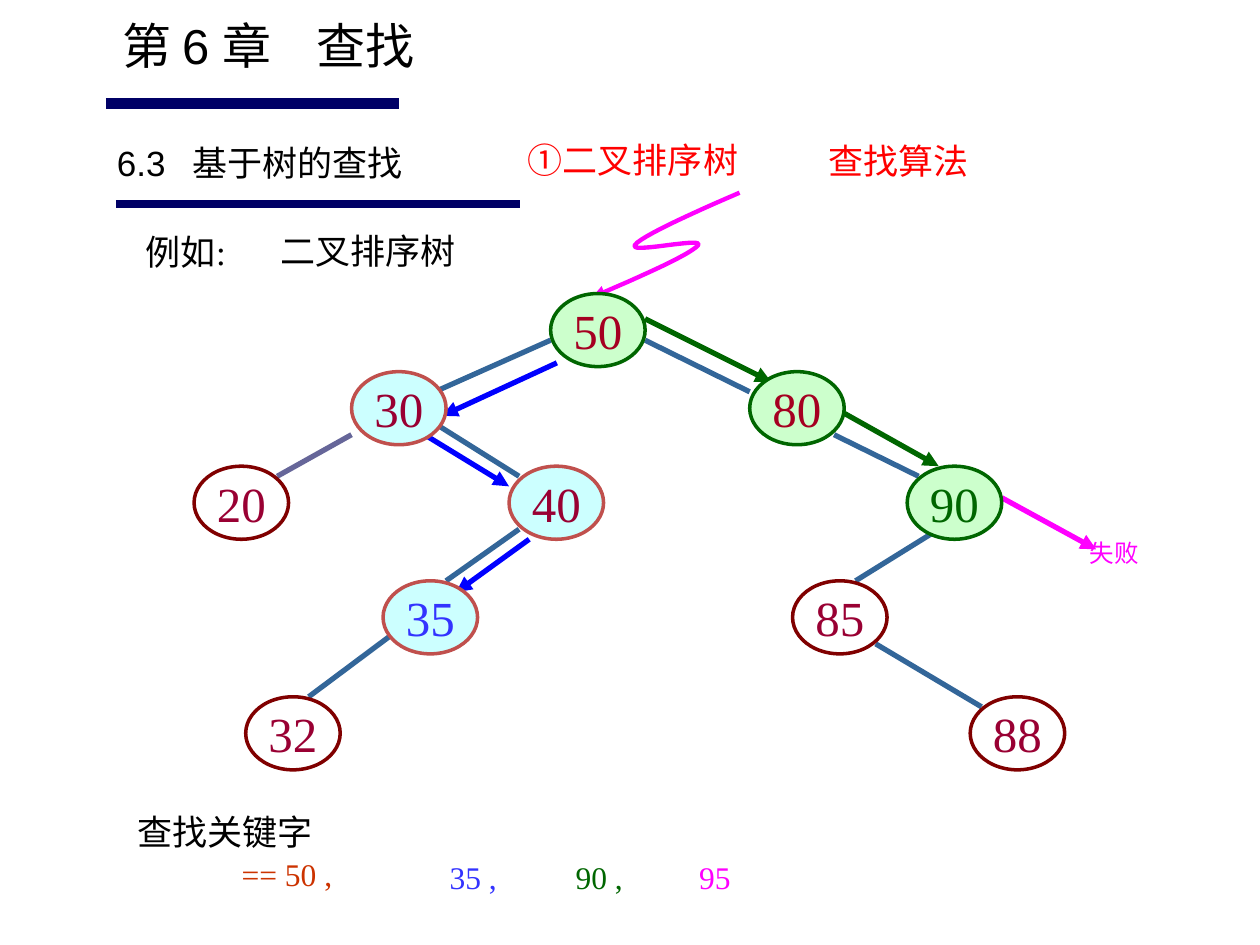
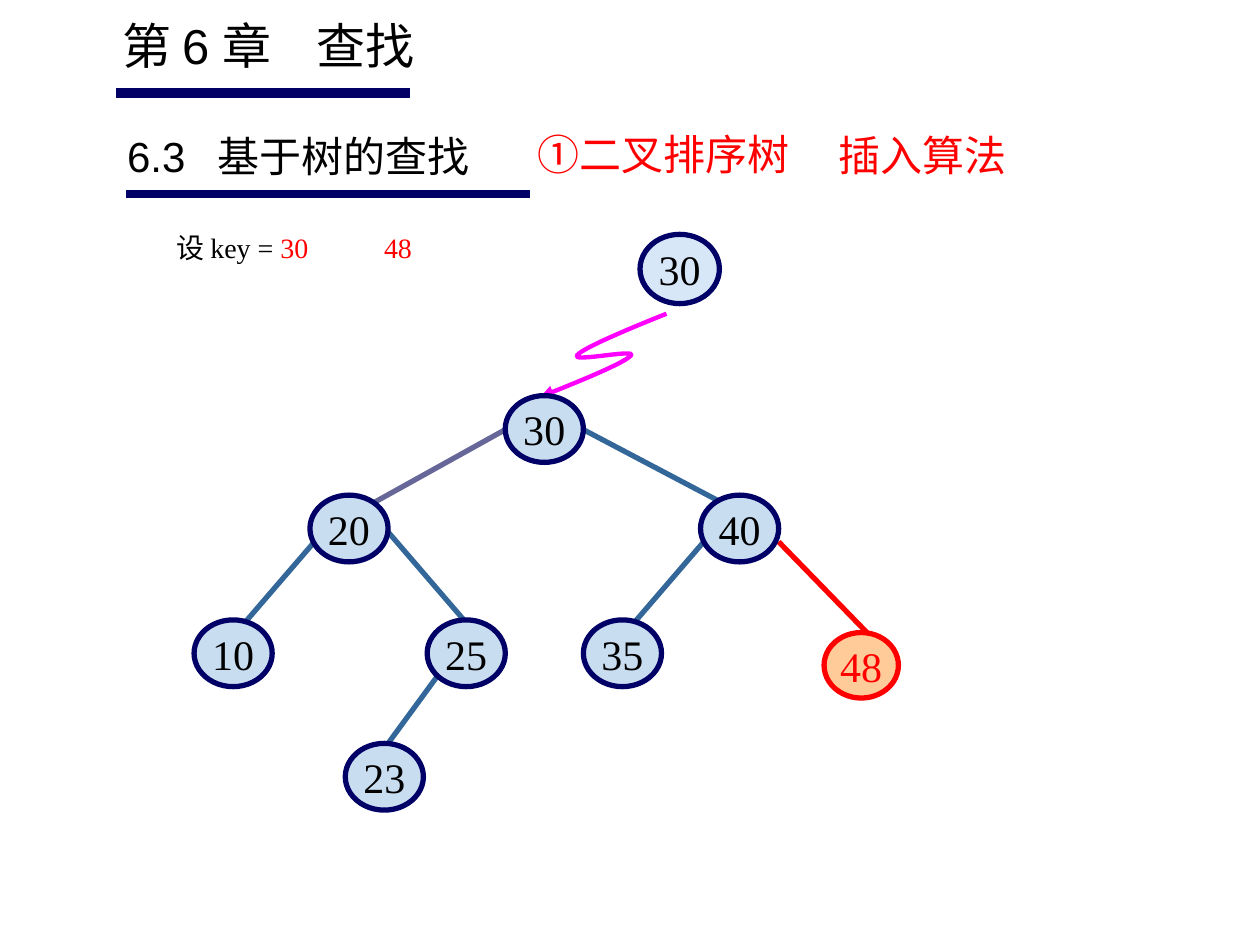
from lxml.etree import SubElement
from pptx import Presentation
from pptx.dml.color import RGBColor
from pptx.enum.shapes import MSO_CONNECTOR, MSO_SHAPE
from pptx.enum.text import MSO_ANCHOR, MSO_AUTO_SIZE, PP_ALIGN
from pptx.oxml.ns import qn
from pptx.util import Pt

PX = 9144  # EMU per px: the slide is 1000 by 750 px
SANS, SERIF = "Arial", "Times New Roman"

BLACK = RGBColor(0x00, 0x00, 0x00)
NAVY = RGBColor(0x00, 0x00, 0x66)
RED = RGBColor(0xFF, 0x00, 0x00)
PINK = RGBColor(0xFF, 0x00, 0xFF)
BLUE = RGBColor(0x00, 0x00, 0xFF)
GREEN = RGBColor(0x00, 0x66, 0x00)
STEEL = RGBColor(0x33, 0x66, 0x99)
LILAC = RGBColor(0x66, 0x66, 0x99)
MAROON = RGBColor(0x80, 0x00, 0x00)
WINE = RGBColor(0x99, 0x00, 0x33)
RUBY = RGBColor(0xA5, 0x00, 0x21)
BRICK = RGBColor(0xC0, 0x50, 0x4D)
RUST = RGBColor(0xCC, 0x33, 0x00)
INDIGO = RGBColor(0x33, 0x33, 0xFF)
AQUA = RGBColor(0xCC, 0xFF, 0xFF)
MINT = RGBColor(0xCC, 0xFF, 0xCC)
SKY = RGBColor(0xC9, 0xDD, 0xF1)
PALE = RGBColor(0xD8, 0xE7, 0xF8)
PEACH = RGBColor(0xFF, 0xCC, 0x99)

# Cubic pieces of the curly pointer, as shares of its box
CURL = [
    ((1, 0), (0.67, 0.2), (0.33, 0.42), (0.29, 0.5)),
    ((0.29, 0.5), (0.24, 0.59), (0.76, 0.42), (0.72, 0.5)),
    ((0.72, 0.5), (0.67, 0.59), (0.33, 0.8), (0, 1)),
]
STEPS = 12


def emu(*sizes):
    return [round(size * PX) for size in sizes]


def style(item, size, color, font):
    item.font.size, item.font.name = Pt(size), font
    item.font.color.rgb = color


def tab_stop(para, pos):
    tabs = SubElement(para._p.get_or_add_pPr(), qn("a:tabLst"))
    SubElement(tabs, qn("a:tab"), pos=str(pos * PX), algn="l")


def label(slide, box, text, size, color, font=SERIF, tab=None):
    shape = slide.shapes.add_textbox(*emu(*box))
    shape.text_frame.word_wrap = True
    para = shape.text_frame.paragraphs[0]
    para.text = text
    if tab:
        tab_stop(para, tab)
    style(para, size, color, font)
    return para


def arrow(shape):
    SubElement(shape.element.spPr.find(qn("a:ln")), qn("a:tailEnd"), type="triangle")


def line(slide, ends, color, width=3, head=False):
    link = slide.shapes.add_connector(MSO_CONNECTOR.STRAIGHT, *emu(*ends))
    link.line.color.rgb, link.line.width = color, Pt(width)
    if head:
        arrow(link)
    SubElement(link.element.spPr, qn("a:effectLst"))


def curl(slide, box):
    x, y, w, h = box

    def point(piece, t):
        parts = ((1 - t) ** 3, 3 * t * (1 - t) ** 2, 3 * t * t * (1 - t), t ** 3)
        across, down = (sum(p * c for p, c in zip(parts, axis)) for axis in zip(*piece))
        return emu(x + w * across, y + h * down)

    dots = [point(piece, n / STEPS) for piece in CURL for n in range(1, STEPS + 1)]
    form = slide.shapes.build_freeform(*emu(x + w, y))
    form.add_line_segments(dots, close=False)
    shape = form.convert_to_shape()
    shape.shadow.inherit = False
    shape.fill.background()
    shape.line.color.rgb, shape.line.width = PINK, Pt(2.5)
    arrow(shape)


def node(slide, box, key, size, look, width):
    fill, edge, ink = look
    oval = slide.shapes.add_shape(MSO_SHAPE.OVAL, *emu(*box))
    oval.shadow.inherit = False
    if fill is None:
        oval.fill.background()
    else:
        oval.fill.solid()
        oval.fill.fore_color.rgb = fill
    oval.line.color.rgb, oval.line.width = edge, Pt(width)
    frame = oval.text_frame
    frame.word_wrap, frame.vertical_anchor = False, MSO_ANCHOR.MIDDLE
    para = frame.paragraphs[0]
    para.text, para.alignment = str(key), PP_ALIGN.CENTER
    style(para, size, ink, SERIF)


def links(slide, origin, groups, head=False):
    x, y = origin
    for color, ends in groups:
        for x1, y1, x2, y2 in ends:
            line(slide, (x + x1, y + y1, x + x2, y + y2), color, head=head)


def nodes(slide, origin, dims, size, width, groups):
    x, y = origin
    for look, spots in groups:
        for key, left, top in spots:
            node(slide, (x + left, y + top, *dims), key, size, look, width)


def header(slide, origin, size, topic):
    # Chapter title
    title = slide.shapes.title
    title.left, title.top, title.width, title.height = emu(87, 7, 255, 57)
    frame = title.text_frame
    frame.auto_size = MSO_AUTO_SIZE.NONE
    frame.word_wrap, frame.vertical_anchor = True, MSO_ANCHOR.TOP
    para = frame.paragraphs[0]
    para.text, para.alignment = "第 6 章\t查找", PP_ALIGN.LEFT
    tab_stop(para, 154)
    style(para, 28, BLACK, SANS)
    # Rules, section and topic
    x, y = origin
    line(slide, (x + 1, y, x + 234, y), NAVY, 6)
    line(slide, (x + 9, y + 80, x + 330, y + 80), NAVY, 4.25)
    label(slide, (x, y + 25, 362, 50), "6.3\t基于树的查找", size, BLACK, SANS, 3 * size)
    label(slide, (x + 326, y + 23, 309, 50), "①二叉排序树", size, RED, SANS)
    label(slide, (x + 565, y + 24, 246, 50), topic, size, RED, SANS)


def search_tree(slide, origin):
    x, y = origin
    # Branches
    links(slide, origin, [
        (LILAC, [(129, 195, 70, 228)]),
        (STEEL, [(287, 120, 195, 161), (362, 120, 445, 161), (195, 186, 262, 228),
                 (262, 270, 204, 311), (512, 195, 579, 228), (595, 270, 529, 311),
                 (545, 361, 629, 411), (162, 353, 95, 403)]),
    ])
    # Search paths
    curl(slide, (x + 320, y + 3, 117, 83))
    links(slide, origin, [
        (BLUE, [(292, 138, 201, 180), (187, 195, 254, 236), (270, 278, 212, 320)]),
        (GREEN, [(362, 103, 462, 153), (520, 178, 595, 220)]),
        (PINK, [(645, 245, 720, 286)]),
    ], head=True)
    # Keys
    nodes(slide, origin, (75, 58), 28, 2, [
        ((None, MAROON, WINE), [(20, 4, 220), (85, 479, 311), (88, 620, 403), (32, 45, 403)]),
        ((AQUA, BRICK, WINE), [(30, 129, 145), (40, 254, 220)]),
        ((AQUA, BRICK, INDIGO), [(35, 154, 311)]),
        ((MINT, GREEN, RUBY), [(50, 287, 83), (80, 445, 145)]),
        ((MINT, GREEN, GREEN), [(90, 570, 220)]),
    ])
    label(slide, (x + 705, y + 272, 138, 34), "失败", 14, PINK)


def key_list(slide, origin):
    x, y = origin
    label(slide, (x, y, 267, 44), "查找关键字", 20, BLACK)
    for text, left, top, color in [("== 50 ,", 83, 36, RUST), ("35 ,", 248, 38, INDIGO),
                                   ("90 ,", 348, 38, GREEN), ("95", 446, 38, PINK)]:
        label(slide, (x + left, y + top, 120, 63), text, 18, color)


def insert_tree(slide, origin):
    x, y = origin
    # Branches
    curl(slide, (x + 279, y + 69, 100, 66))
    links(slide, origin, [
        (RED, [(468, 250, 539, 323)]),
        (LILAC, [(251, 161, 134, 226)]),
        (STEEL, [(313, 161, 425, 220), (103, 246, 41, 318), (202, 350, 158, 410),
                 (412, 246, 350, 318), (157, 241, 219, 313)]),
    ])
    # Keys
    nodes(slide, origin, (62, 53), 24, 3, [
        ((SKY, NAVY, BLACK), [(30, 251, 134), (20, 96, 213), (40, 406, 213), (10, 4, 312),
                              (25, 189, 312), (35, 313, 312), (23, 124, 410)]),
    ])
    # New keys
    node(slide, (x + 358, y + 6, 63, 55), 30, 24, (PALE, NAVY, BLACK), 3)
    node(slide, (x + 504, y + 322, 59, 52), 48, 24, (PEACH, RED, RED), 3)


def search_slide(slide):
    header(slide, (83, 82), 20, "查找算法")
    label(slide, (106, 178, 84, 77), "例如:", 20, BLACK)
    label(slide, (213, 177, 272, 44), "二叉排序树", 20, BLACK)
    search_tree(slide, (150, 150))
    key_list(slide, (99, 638))


def insert_slide(slide):
    header(slide, (91, 74), 24, "插入算法")
    para = label(slide, (130, 178, 160, 37), "设 key = ", 16, BLACK)
    run = para.add_run()
    run.text, run.font.color.rgb = "30", RED
    label(slide, (295, 178, 60, 37), "48", 16, RED)
    insert_tree(slide, (150, 180))


def main():
    deck = Presentation()
    deck.slide_width, deck.slide_height = emu(1000, 750)
    for build in (search_slide, insert_slide):
        build(deck.slides.add_slide(deck.slide_layouts[5]))
    deck.save("out.pptx")


if __name__ == "__main__":
    main()
